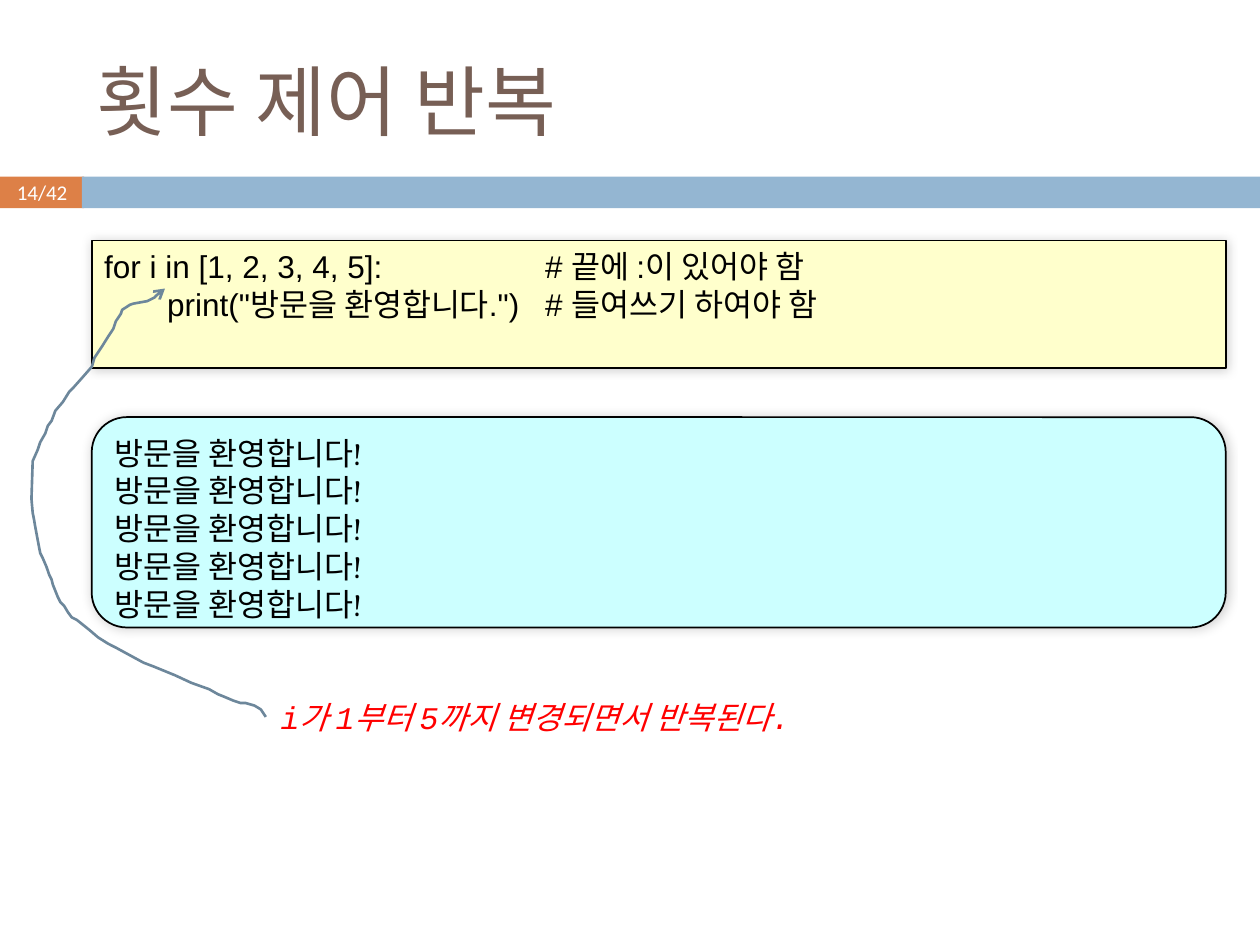
"""Build the slide on count-controlled loops in Python."""
from lxml import etree
from pptx import Presentation
from pptx.dml.color import RGBColor
from pptx.enum.shapes import MSO_SHAPE
from pptx.enum.text import MSO_ANCHOR, PP_ALIGN
from pptx.oxml.ns import qn
from pptx.util import Cm, Pt

RECT = MSO_SHAPE.RECTANGLE
ROUND = MSO_SHAPE.FLOWCHART_ALTERNATE_PROCESS
TOP, MIDDLE = MSO_ANCHOR.TOP, MSO_ANCHOR.MIDDLE
LEFT, CENTER = PP_ALIGN.LEFT, PP_ALIGN.CENTER
BLACK = RGBColor(0x00, 0x00, 0x00)
WHITE = RGBColor(0xFF, 0xFF, 0xFF)
RED = RGBColor(0xFF, 0x00, 0x00)
BROWN = RGBColor(0x77, 0x5F, 0x55)
ORANGE = RGBColor(0xDD, 0x80, 0x47)
BLUE = RGBColor(0x94, 0xB6, 0xD2)
CREAM = RGBColor(0xFF, 0xFF, 0xCC)
AQUA = RGBColor(0xCC, 0xFF, 0xFF)
SLATE = RGBColor(0x6D, 0x87, 0x9B)

CODE = (
    "for i in [1, 2, 3, 4, 5]: \t\t\t# 끝에 :이 있어야 함\n"
    '\tprint("방문을 환영합니다.") \t# 들여쓰기 하여야 함'
)
OUTPUT = "\n".join(["방문을 환영합니다!"] * 5)
NOTE = "i가 1부터 5까지 변경되면서 반복된다."

prs = Presentation()
prs.slide_width, prs.slide_height = Cm(25.4), Cm(19.05)
slide = prs.slides.add_slide(prs.slide_layouts[6])
shapes = slide.shapes


def write(shape, text, color, anchor, align, font):
    frame = shape.text_frame
    frame.word_wrap = True
    frame.vertical_anchor = anchor
    frame.text = text
    for par in frame.paragraphs:
        par.alignment = align
        par.font.color.rgb = color
        for key, value in font.items():
            setattr(par.font, key, value)


panels = [
    (RECT, (0, 3.56, 1.7, 0.64), ORANGE, False, "14/42", WHITE, MIDDLE, CENTER,
     {"name": "Calibri", "size": Pt(12)}),
    (RECT, (1.65, 3.56, 23.75, 0.64), BLUE, False, "", WHITE, MIDDLE, CENTER, {}),
    (RECT, (1.85, 4.85, 22.86, 2.57), CREAM, True, CODE, BLACK, TOP, LEFT,
     {"name": "Arial", "size": Pt(18)}),
    (ROUND, (1.85, 8.41, 22.86, 4.24), AQUA, True, OUTPUT, BLACK, TOP, LEFT,
     {"name": "Cambria", "size": Pt(18)}),
]
for kind, place, fill, framed, text, color, anchor, align, font in panels:
    panel = shapes.add_shape(kind, *map(Cm, place))
    panel.shadow.inherit = False
    panel.fill.solid()
    panel.fill.fore_color.rgb = fill
    if framed:
        panel.line.color.rgb = BLACK
        panel.line.width = Pt(1)
        effects = panel._element.spPr.find(qn("a:effectLst"))
        shadow = etree.SubElement(
            effects, qn("a:outerShdw"), blurRad=str(Pt(6)), dist="0", dir="18900000")
        shade = etree.SubElement(shadow, qn("a:srgbClr"), val=str(BLACK))
        etree.SubElement(shade, qn("a:alpha"), val="20000")
    else:
        panel.line.fill.background()
    if text:
        write(panel, text, color, anchor, align, font)

labels = [
    ((1.7, 0.64, 22.66, 2.74), "횟수 제어 반복", BROWN, MIDDLE,
     {"name": "Calibri", "size": Pt(44)}),
    ((5.41, 13.94, 11.73, 1.02), NOTE, RED, TOP,
     {"name": "Courier New", "size": Pt(18), "italic": True}),
]
for place, text, color, anchor, font in labels:
    write(shapes.add_textbox(*map(Cm, place)), text, color, anchor, LEFT, font)

curve = [
    (211, 569), (207, 563), (202, 560), (195, 558), (191, 558), (185, 556),
    (178, 553), (173, 551), (166, 547), (152, 542), (139, 536), (122, 529),
    (114, 526), (92, 514), (86, 511), (78, 506), (71, 500), (66, 496),
    (61, 492), (57, 490), (54, 486), (51, 481), (48, 478), (46, 474),
    (42, 464), (41, 460), (39, 456), (37, 450), (34, 443), (32, 439),
    (31, 434), (28, 418), (27, 412), (26, 407), (25, 396), (26, 366),
    (30, 357), (32, 351), (36, 344), (38, 338), (41, 334), (44, 326),
    (50, 319), (55, 311), (58, 308), (66, 299), (73, 291), (75, 284),
    (79, 278), (81, 275), (86, 267), (90, 261), (92, 255), (96, 249),
    (97, 246), (103, 242), (106, 241), (117, 239), (123, 236), (125, 233),
    (131, 229),
]
pen = shapes.build_freeform(*curve[0], scale=Cm(2.54) / 100)
pen.add_line_segments(curve[1:], close=False)
arrow = pen.convert_to_shape()
arrow.shadow.inherit = False
arrow.fill.background()
arrow.line.color.rgb = SLATE
arrow.line.width = Pt(1.5)
etree.SubElement(arrow._element.spPr.find(qn("a:ln")), qn("a:tailEnd"), type="arrow")

prs.save("out.pptx")
